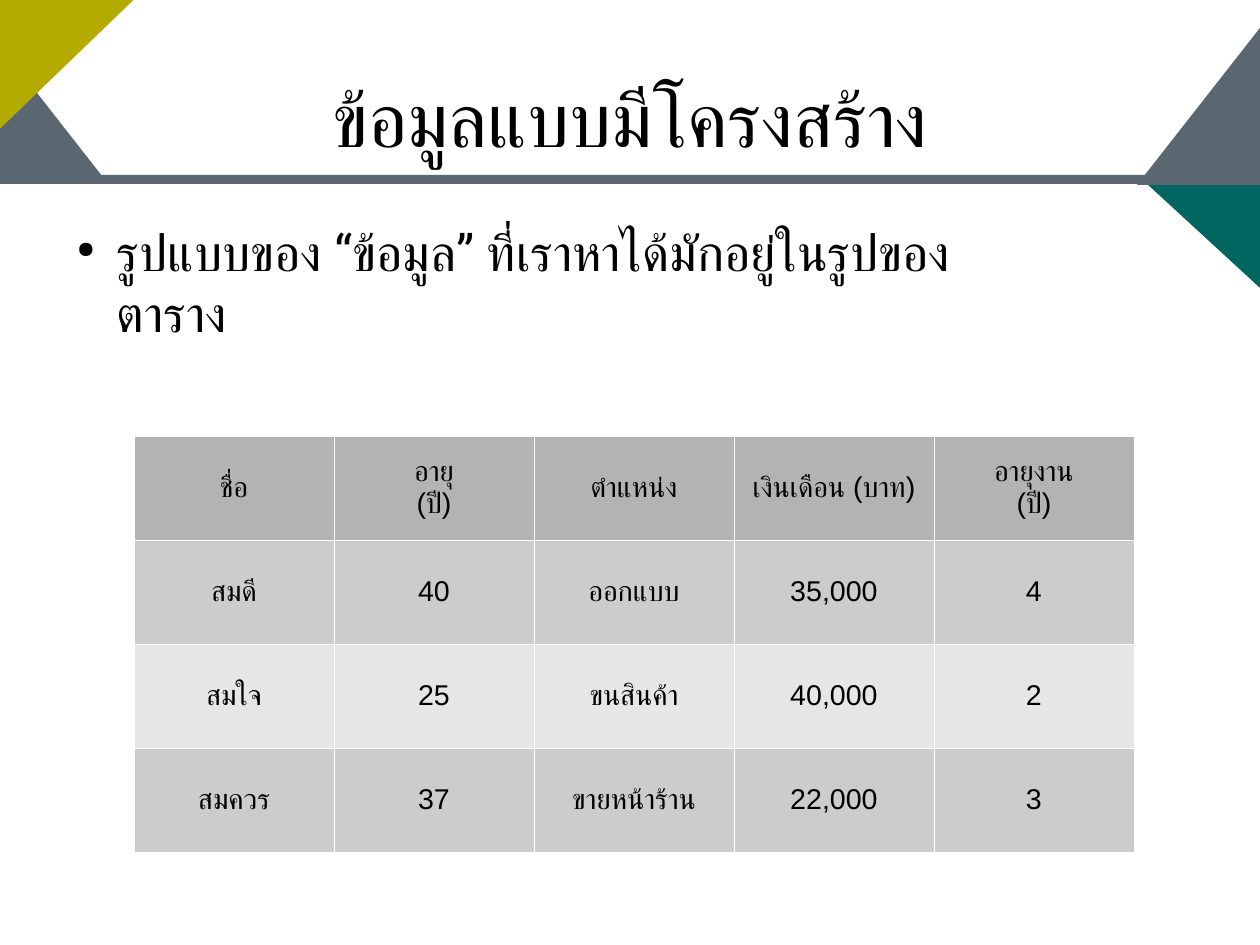
import pptx
import pptx.dml.color
import pptx.enum.shapes
import pptx.enum.text
import pptx.oxml
import pptx.oxml.ns
import pptx.util

EMU_PER_PX = 8000
BLACK, WHITE, SLATE, TEAL, OLIVE = "000000", "FFFFFF", "5A6770", "016660", "B3AB00"
HEADER_FILL, BAND_FILLS = "B3B3B3", ("CCCCCC", "E6E6E6")
RIGHT_TRIANGLE = pptx.enum.shapes.MSO_SHAPE.RIGHT_TRIANGLE
RECTANGLE = pptx.enum.shapes.MSO_SHAPE.RECTANGLE
CENTER = pptx.enum.text.PP_ALIGN.CENTER
LEFT = pptx.enum.text.PP_ALIGN.LEFT
MIDDLE = pptx.enum.text.MSO_ANCHOR.MIDDLE
TOP = pptx.enum.text.MSO_ANCHOR.TOP

DECORATIONS = [
    (RIGHT_TRIANGLE, (1213, -3, 254, 309), TEAL, 42.6, None),
    (RECTANGLE, (-19, 175, 1320, 9), SLATE, 0, None),
    (RIGHT_TRIANGLE, (1137, -50, 184, 235), SLATE, 0, "flipH"),
    (RIGHT_TRIANGLE, (-82, -59, 184, 235), SLATE, 0, None),
    (RIGHT_TRIANGLE, (-19, -66, 221, 213), OLIVE, 0, "flipV"),
]
EMPLOYEES = [
    ["ชื่อ", "อายุ\n(ปี)", "ตำแหน่ง", "เงินเดือน (บาท)", "อายุงาน\n(ปี)"],
    ["สมดี", "40", "ออกแบบ", "35,000", "4"],
    ["สมใจ", "25", "ขนสินค้า", "40,000", "2"],
    ["สมควร", "37", "ขายหน้าร้าน", "22,000", "3"],
]


def px(length):
    """Turn whole px into EMU."""
    return pptx.util.Emu(length * EMU_PER_PX)


def color(hex_value):
    """Turn a hex string into a colour."""
    return pptx.dml.color.RGBColor.from_string(hex_value)


def assign(target, values):
    """Set each named attribute on the target."""
    for name, value in values.items():
        setattr(target, name, value)


def xml(body):
    """Build one drawing element from its markup."""
    tag, rest = body[1:].split(" ", 1)
    return pptx.oxml.parse_xml(f"<{tag} {pptx.oxml.ns.nsdecls('a')} {rest}")


class StructuredDataSlide:
    """Hold the style and the current slide."""

    def __init__(self, presentation):
        """Open a title-only slide."""
        self.slide = presentation.slides.add_slide(presentation.slide_layouts[5])
        self.shapes = self.slide.shapes
        self.heading = {"size": pptx.util.Pt(48), "name": "Roboto"}
        self.statement = {"size": pptx.util.Pt(32), "name": "Roboto"}
        self.entry = {"size": pptx.util.Pt(18), "name": "Arial"}

    def wording(self, frame, text, font, align):
        """Fill a text frame with styled paragraphs."""
        frame.text = text
        for paragraph in frame.paragraphs:
            assign(paragraph, {"alignment": align, "line_spacing": 1.0})
            for run in paragraph.runs:
                assign(run.font, font)
                run.font.color.rgb = color(BLACK)
                run.font._element.append(xml(f'<a:cs typeface="{font["name"]}"/>'))

    def frame(self, holder, anchor):
        """Give a text holder its wrapping and zero insets."""
        assign(holder.text_frame, {
            "word_wrap": True, "vertical_anchor": anchor,
            "auto_size": pptx.enum.text.MSO_AUTO_SIZE.NONE,
            "margin_left": 0, "margin_top": 0, "margin_right": 0, "margin_bottom": 0,
        })
        return holder.text_frame

    def decoration(self, kind, box, fill, rotation, flip):
        """Draw one plain filled shape."""
        accent = self.shapes.add_shape(kind, *map(px, box))
        accent.shadow.inherit = False
        accent.fill.solid()
        accent.fill.fore_color.rgb = color(fill)
        accent.line.fill.background()
        accent.rotation = rotation
        if flip:
            accent._element.spPr.xfrm.set(flip, "1")

    def title(self, text, box):
        """Place the title above the decorations."""
        title = self.shapes.title
        assign(title, dict(zip(("left", "top", "width", "height"), map(px, box))))
        self.wording(self.frame(title, MIDDLE), text, self.heading, CENTER)
        self.shapes._spTree.append(title._element)

    def bullet(self, text, box):
        """Add one bulleted statement."""
        frame = self.frame(self.shapes.add_textbox(*map(px, box)), TOP)
        self.wording(frame, text, self.statement, LEFT)
        paragraph = frame.paragraphs[0]
        paragraph.space_before = pptx.util.Pt(18.9)
        properties = paragraph._p.get_or_add_pPr()
        properties.set("marL", str(px(54)))
        properties.set("indent", str(px(-40)))
        for part in (f'<a:buClr ><a:srgbClr val="{BLACK}"/></a:buClr>',
                     '<a:buSzPct val="45000"/>', '<a:buChar char="●"/>'):
            properties.append(xml(part))

    def table(self, rows, left, top, column_width, row_height):
        """Lay out rows with a header and alternating fills."""
        columns = len(rows[0])
        table = self.shapes.add_table(
            len(rows), columns, px(left), px(top),
            px(column_width * columns), px(row_height * len(rows))).table
        assign(table, {"first_row": False, "horz_banding": False})
        for row_index, row in enumerate(rows):
            fill = BAND_FILLS[(row_index - 1) % 2] if row_index else HEADER_FILL
            for column_index, text in enumerate(row):
                self.cell(table.cell(row_index, column_index), text, fill)

    def cell(self, cell, text, fill):
        """Letter, border and fill one cell."""
        self.wording(cell.text_frame, text, self.entry, CENTER)
        cell.vertical_anchor = MIDDLE
        properties = cell._tc.get_or_add_tcPr()
        for side in ("lnL", "lnR", "lnT", "lnB"):
            properties.append(xml(
                f'<a:{side} w="762"><a:solidFill><a:srgbClr val="{WHITE}"/>'
                f'</a:solidFill></a:{side}>'))
        cell.fill.solid()
        cell.fill.fore_color.rgb = color(fill)


def main():
    """Build and save the slide."""
    presentation = pptx.Presentation()
    assign(presentation, {"slide_width": px(1260), "slide_height": px(945)})
    page = StructuredDataSlide(presentation)
    for decoration in DECORATIONS:
        page.decoration(*decoration)
    page.title("ข้อมูลแบบมีโครงสร้าง", (63, 38, 1134, 158))
    page.bullet("รูปแบบของ “ข้อมูล” ที่เราหาได้มักอยู่ในรูปของ\vตาราง", (63, 221, 1134, 623))
    page.table(EMPLOYEES, 134, 436, 200, 104)
    presentation.save("out.pptx")


if __name__ == "__main__":
    main()
